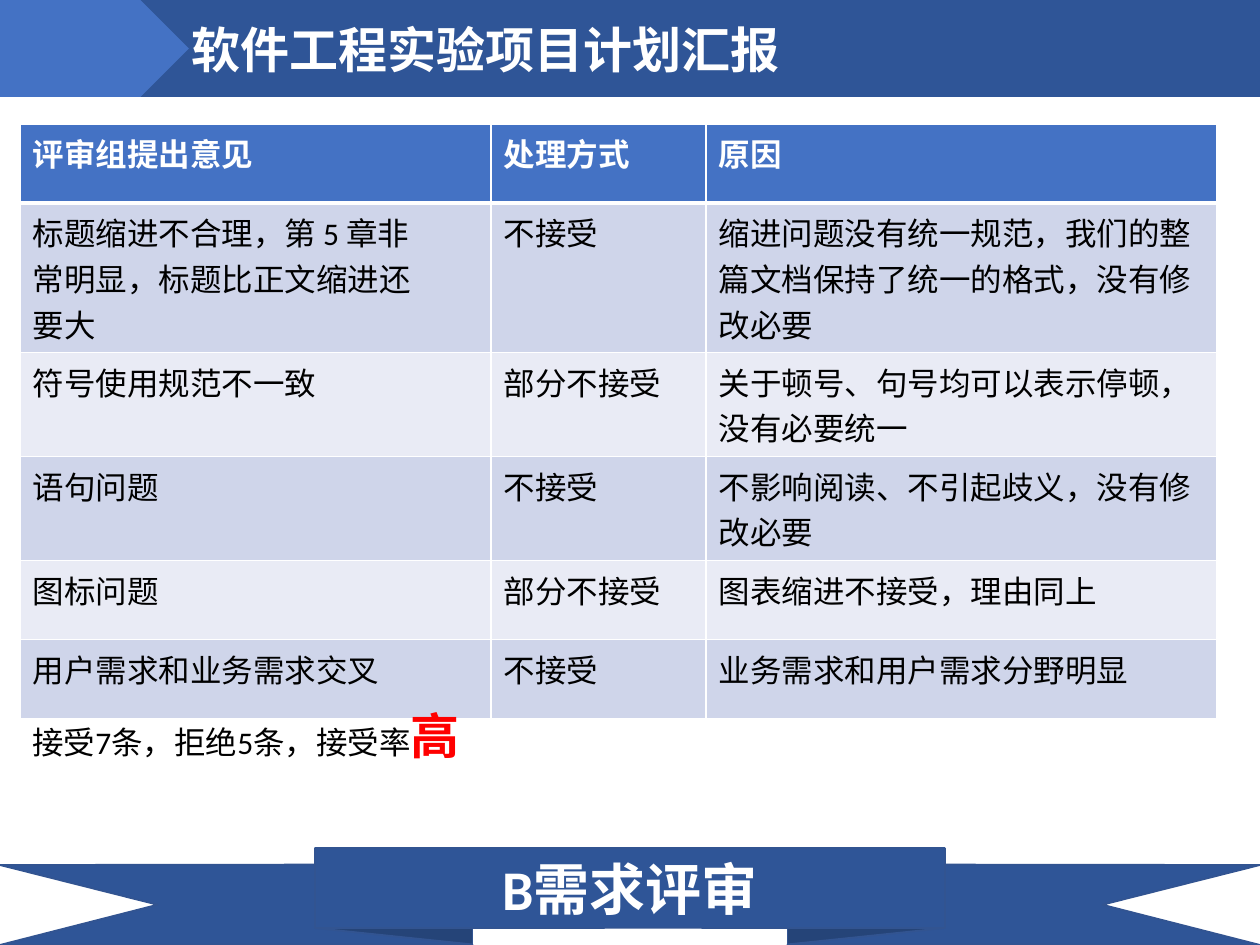
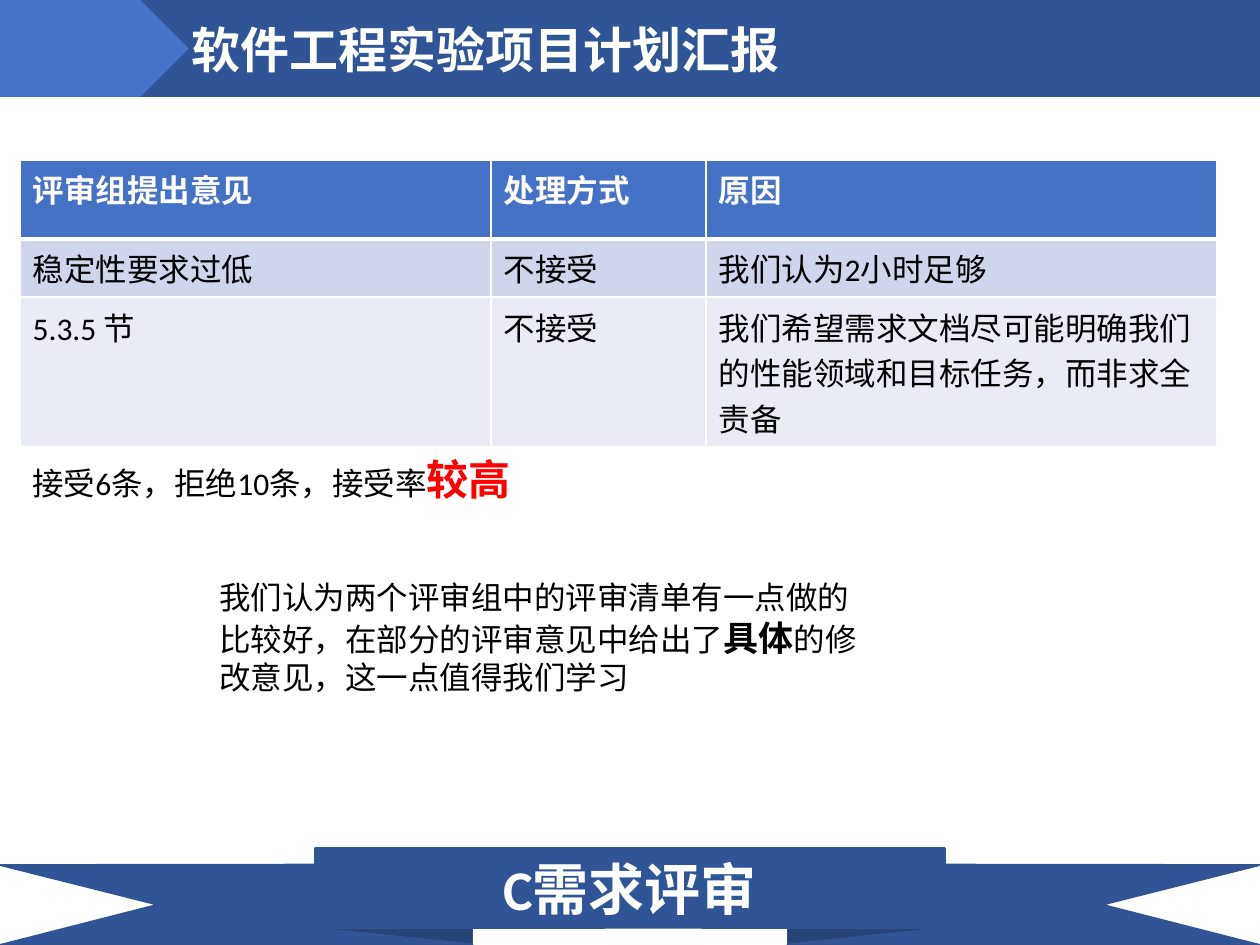
from lxml.etree import SubElement
from pptx import Presentation
from pptx.dml.color import RGBColor
from pptx.enum.shapes import MSO_SHAPE as Shape
from pptx.enum.text import MSO_ANCHOR as Anchor, MSO_AUTO_SIZE as AutoSize, PP_ALIGN as Align
from pptx.oxml.ns import qn
from pptx.util import Emu, Pt

PX = 914400 // 126
SLIDE_WIDTH, SLIDE_HEIGHT = 1260, 945
COLORS = {
    "band": "2F5597", "arrow": "4472C4", "ribbon_line": "325491",
    "odd_row": "CFD5EA", "even_row": "E9EBF5",
    "white": "FFFFFF", "black": "000000", "red": "FF0000",
}
BODY = {"name": "Calibri", "size": 18, "color": "black", "bold": False}
HEADING = BODY | {"color": "white", "bold": True}
TITLE = {"name": "Arial", "size": 28, "color": "white", "bold": True}
RIBBON = HEADING | {"size": 32}

DECK_TITLE = "软件工程实验项目计划汇报"
COLUMNS = ["评审组提出意见", "处理方式", "原因"]
COLUMN_WIDTHS = [471, 215, 511]
TABLE_LEFT = 20
BAND_HEIGHT = 97

SLIDES = [
    {
        "section": "B需求评审",
        "table_top": 124,
        "row_heights": [79, 148, 104, 104, 79, 79],
        "rows": [
            ("标题缩进不合理，第 5 章非\n常明显，标题比正文缩进还\n要大", "不接受",
             "缩进问题没有统一规范，我们的整篇文档保持了统一的格式，没有修改必要"),
            ("符号使用规范不一致", "部分不接受", "关于顿号、句号均可以表示停顿，没有必要统一"),
            ("语句问题", "不接受", "不影响阅读、不引起歧义，没有修改必要"),
            ("图标问题", "部分不接受", "图表缩进不接受，理由同上"),
            ("用户需求和业务需求交叉", "不接受", "业务需求和用户需求分野明显"),
        ],
        "notes": [
            ((20, 699, 480, 72), [
                ("接受7条，拒绝5条，接受率", {}),
                ("高", {"size": 28, "color": "red", "bold": True}),
            ]),
        ],
    },
    {
        "section": "C需求评审",
        "table_top": 160,
        "row_heights": [79, 58, 148],
        "rows": [
            ("稳定性要求过低", "不接受", "我们认为2小时足够"),
            ("5.3.5 节", "不接受", "我们希望需求文档尽可能明确我们的性能领域和目标任务，而非求全责备"),
        ],
        "notes": [
            ((20, 447, 590, 63), [
                ("接受6条，拒绝10条，接受率", {}),
                ("较高", {"size": 24, "color": "red", "bold": True}),
            ]),
            ((207, 572, 682, 131), [
                ("我们认为两个评审组中的评审清单有一点做的比较好，在部分的评审意见中给出了", {}),
                ("具体", {"size": 20, "bold": True}),
                ("的修改意见，这一点值得我们学习", {}),
            ]),
        ],
    },
]


def px(*lengths):
    return [Emu(length * PX) for length in lengths]


def rgb(color):
    return RGBColor.from_string(COLORS[color])


def paint(item, color):
    item.fill.solid()
    item.fill.fore_color.rgb = rgb(color)


def add_span(para, text, style):
    span = para.add_run()
    span.text = text
    values = {"name": style["name"], "size": Pt(style["size"]), "bold": style["bold"]}
    for name, value in values.items():
        setattr(span.font, name, value)
    span.font.color.rgb = rgb(style["color"])


def add_shape(page, kind, frame, color):
    shape = page.shapes.add_shape(kind, *px(*frame))
    shape.shadow.inherit = False
    shape.line.fill.background()
    paint(shape, color)
    return shape


def add_header(page):
    title = page.shapes.title
    left = 116
    frame = px(left, 0, SLIDE_WIDTH - left, BAND_HEIGHT)
    for name, value in zip(("left", "top", "width", "height"), frame):
        setattr(title, name, value)
    paint(title, "band")
    text_frame = title.text_frame
    text_frame.auto_size = AutoSize.NONE
    text_frame.vertical_anchor = Anchor.MIDDLE
    text_frame.margin_left = px(76)[0]
    para = text_frame.paragraphs[0]
    para.alignment = Align.LEFT
    add_span(para, DECK_TITLE, TITLE)
    add_shape(page, Shape.PENTAGON, (0, 0, 189, BAND_HEIGHT), "arrow")


def add_ribbon(page, section):
    frame = (0, SLIDE_HEIGHT - BAND_HEIGHT, SLIDE_WIDTH, BAND_HEIGHT)
    ribbon = add_shape(page, Shape.CURVED_UP_RIBBON, frame, "band")
    for index, value in enumerate((0.176, 0.5, 0.006)):
        ribbon.adjustments[index] = value
    ribbon.line.color.rgb = rgb("ribbon_line")
    ribbon.line.width = Pt(1)
    ribbon.text_frame.vertical_anchor = Anchor.MIDDLE
    para = ribbon.text_frame.paragraphs[0]
    para.alignment = Align.CENTER
    add_span(para, section, RIBBON)


def add_borders(cell, top, bottom):
    """Draw white cell borders; top and bottom are widths in points."""
    properties = cell._tc.get_or_add_tcPr()
    for side, width in (("L", 1), ("R", 1), ("T", top), ("B", bottom)):
        line = SubElement(properties, qn(f"a:ln{side}"), w=str(Pt(width)))
        fill = SubElement(line, qn("a:solidFill"))
        SubElement(fill, qn("a:srgbClr"), val=COLORS["white"])


def add_review_table(page, top, heights, rows):
    frame = px(TABLE_LEFT, top, sum(COLUMN_WIDTHS), sum(heights))
    table = page.shapes.add_table(len(heights), len(COLUMNS), *frame).table
    for column, width in zip(table.columns, px(*COLUMN_WIDTHS)):
        column.width = width
    for number, (height, texts) in enumerate(zip(px(*heights), [COLUMNS, *rows])):
        table.rows[number].height = height
        color = "arrow" if number == 0 else ("even_row", "odd_row")[number % 2]
        for cell, text in zip(table.rows[number].cells, texts):
            add_borders(cell, 3 if number == 1 else 1, 3 if number == 0 else 1)
            paint(cell, color)
            for index, line in enumerate(text.split("\n")):
                text_frame = cell.text_frame
                para = text_frame.add_paragraph() if index else text_frame.paragraphs[0]
                add_span(para, line, BODY if number else HEADING)


def add_note(page, frame, spans):
    box = page.shapes.add_textbox(*px(*frame))
    box.text_frame.word_wrap = True
    for text, changes in spans:
        add_span(box.text_frame.paragraphs[0], text, BODY | changes)


def main():
    deck = Presentation()
    deck.slide_width, deck.slide_height = px(SLIDE_WIDTH, SLIDE_HEIGHT)
    title_only = deck.slide_layouts[5]
    for content in SLIDES:
        page = deck.slides.add_slide(title_only)
        add_ribbon(page, content["section"])
        add_header(page)
        add_review_table(page, content["table_top"], content["row_heights"], content["rows"])
        for frame, spans in content["notes"]:
            add_note(page, frame, spans)
    deck.save("out.pptx")


if __name__ == "__main__":
    main()
